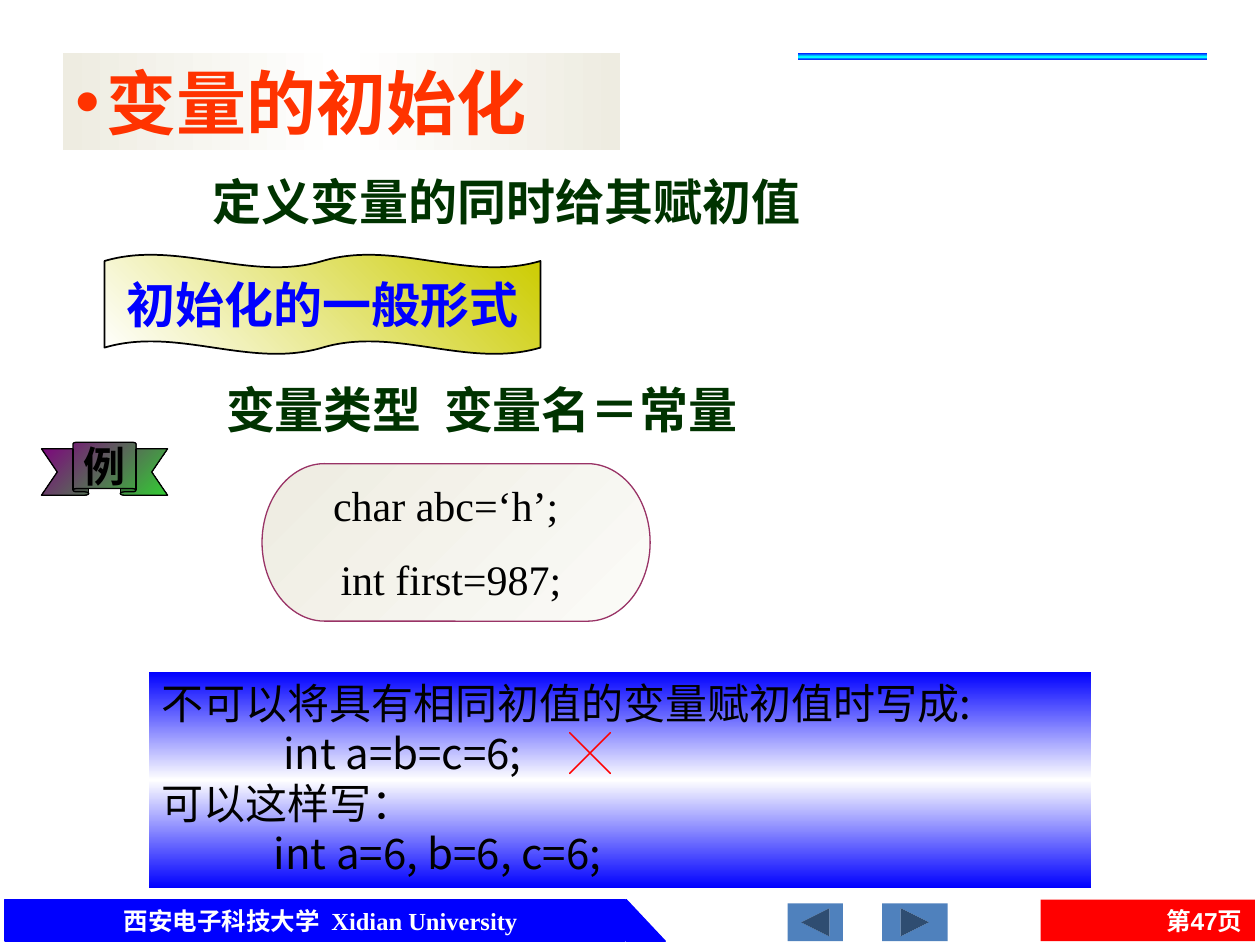
from lxml import etree
from pptx import Presentation
from pptx.dml.color import RGBColor
from pptx.enum.shapes import MSO_SHAPE
from pptx.enum.text import MSO_ANCHOR, PP_ALIGN
from pptx.oxml.ns import qn
from pptx.util import Inches, Pt

RECT = MSO_SHAPE.RECTANGLE
TRIANGLE = MSO_SHAPE.RIGHT_TRIANGLE
FORWARD = MSO_SHAPE.ACTION_BUTTON_FORWARD_OR_NEXT
PILL = MSO_SHAPE.FLOWCHART_TERMINATOR
WAVE = MSO_SHAPE.DOUBLE_WAVE
RIBBON = MSO_SHAPE.UP_RIBBON
LEFT, CENTER, RIGHT = PP_ALIGN.LEFT, PP_ALIGN.CENTER, PP_ALIGN.RIGHT
TOP, MIDDLE = MSO_ANCHOR.TOP, MSO_ANCHOR.MIDDLE

SERIF = "Times New Roman"
HEADING = "Roboto"
CJK = "Noto Sans CJK SC"

COLORS = {
    "blue": "0000FF", "cyan": "00FFFF", "white": "FFFFFF", "red": "FF0000",
    "button": "4F81BD", "cream": "EEECE1", "ivory": "FBFBF8",
    "plum": "993366", "orange": "FF3300", "green": "003300",
    "olive": "CCCC00", "purple": "800080", "lime": "33CC33", "black": "000000",
}


def rgb(name):
    """Return the named colour."""
    return RGBColor.from_string(COLORS[name])


def set_gradient(shape, names, angle):
    """Spread the named colours evenly along a clockwise angle."""
    shape.fill.gradient()
    shape.fill.gradient_angle = -angle % 360
    stops = shape._element.spPr.find(qn("a:gradFill")).find(qn("a:gsLst"))
    for stop in list(stops):
        stops.remove(stop)
    for i, name in enumerate(names):
        position = str(100000 * i // (len(names) - 1))
        stop = etree.SubElement(stops, qn("a:gs"), pos=position)
        etree.SubElement(stop, qn("a:srgbClr"), val=COLORS[name])


def add_panel(slide, kind, box, fill, angle=0, line=None, width=0.75):
    """Add a shape with a solid fill, or a gradient when fill is a list."""
    panel = slide.shapes.add_shape(kind, *map(Inches, box))
    panel.shadow.inherit = False
    if isinstance(fill, list):
        set_gradient(panel, fill, angle)
    else:
        panel.fill.solid()
        panel.fill.fore_color.rgb = rgb(fill)
    if line:
        panel.line.color.rgb = rgb(line)
        panel.line.width = Pt(width)
    else:
        panel.line.fill.background()
    return panel


def format_font(font, name, size, color, bold):
    """Apply the typeface, size, colour and weight."""
    font.name = name
    font.size = Pt(size)
    font.color.rgb = rgb(color)
    font.bold = bold


def write(shape, text, name, size, color, bold=True, align=CENTER,
          anchor=TOP, wrap=True, gap=0):
    """Write paragraphs into a shape with one common format."""
    frame = shape.text_frame
    frame.text = text
    frame.word_wrap = wrap
    frame.vertical_anchor = anchor
    for i, paragraph in enumerate(frame.paragraphs):
        paragraph.alignment = align
        if i and gap:
            paragraph.space_before = Pt(gap)
        for run in paragraph.runs:
            format_font(run.font, name, size, color, bold)
    return frame


def add_label(slide, box, text, name, size, color, **options):
    """Add a text box with formatted text."""
    label = slide.shapes.add_textbox(*map(Inches, box))
    return write(label, text, name, size, color, **options)


def add_bullet(paragraph, indent):
    """Give the paragraph a hanging round bullet."""
    properties = paragraph._p.get_or_add_pPr()
    properties.set("marL", str(Inches(indent)))
    properties.set("indent", str(-Inches(indent)))
    etree.SubElement(properties, qn("a:buFont"), typeface="Arial")
    etree.SubElement(properties, qn("a:buChar"), char="•")


def add_tab(paragraph, position):
    """Set one left tab stop."""
    tabs = etree.SubElement(paragraph._p.get_or_add_pPr(), qn("a:tabLst"))
    etree.SubElement(tabs, qn("a:tab"), pos=str(Inches(position)), algn="l")


def add_footer(slide):
    """Add the university band, the navigation buttons and the page number."""
    add_panel(slide, RECT, (0.04, 7.14, 4.92, 0.33), "blue", line="blue")
    add_panel(slide, TRIANGLE, (4.97, 7.14, 0.31, 0.33), "blue", line="blue")
    add_label(slide, (0.33, 7.14, 4.43, 0.33),
              "西安电子科技大学  Xidian University", SERIF, 14, "white")
    page = add_panel(slide, RECT, (8.26, 7.14, 1.7, 0.33), "red")
    write(page, "第47页", "Arial", 14, "white", align=RIGHT, anchor=MIDDLE)
    add_panel(slide, FORWARD, (7, 7.17, 0.52, 0.3), "button")
    back = add_panel(slide, FORWARD, (6.25, 7.17, 0.44, 0.3), "button")
    back.rotation = 180


def add_title(slide):
    """Add the accent bar and the bulleted title."""
    add_panel(slide, RECT, (6.33, 0.42, 3.25, 0.06),
              ["blue", "cyan", "blue"], 90)
    title = add_panel(slide, RECT, (0.5, 0.42, 4.42, 0.77),
                      ["cream", "white", "cream"])
    frame = write(title, "变量的初始化", SERIF, 40, "orange", align=LEFT)
    add_bullet(frame.paragraphs[0], 0.25)


def add_general_form(slide):
    """Add the definition, its heading and the general form."""
    add_label(slide, (1.02, 1.31, 6, 0.57), "定义变量的同时给其赋初值",
              SERIF, 28, "green")
    heading = add_panel(slide, WAVE, (0.83, 2.02, 3.46, 0.79),
                        ["white", "olive"], 315, "black", 1)
    heading.adjustments[0] = 0.065
    write(heading, "初始化的一般形式", HEADING, 28, "blue",
          anchor=MIDDLE, wrap=False)
    form = add_label(slide, (1, 2.96, 6, 0.57), "变量类型  变量名＝常量",
                     SERIF, 28, "green")
    form.margin_right = Inches(0.45)


def add_example(slide):
    """Add the example ribbon and its declarations."""
    ribbon = add_panel(slide, RIBBON, (0.33, 3.51, 1, 0.42),
                       ["purple", "lime"], 45, "black")
    ribbon.adjustments[0] = 0.125
    ribbon.adjustments[1] = 0.5
    write(ribbon, "例", HEADING, 24, "black", anchor=MIDDLE, wrap=False)
    add_panel(slide, PILL, (2.08, 3.68, 3.08, 1.25),
              ["cream", "ivory"], 45, "plum")
    add_label(slide, (1.58, 3.76, 4, 1.1), "char abc=‘h’; \nint first=987;",
              SERIF, 24, "black", bold=False, gap=13)


def add_warning(slide):
    """Add the note on wrong and right initialisation."""
    note = add_panel(slide, RECT, (1.18, 5.33, 7.48, 1.72),
                     ["blue", "white", "blue"], 90)
    lines = ["不可以将具有相同初值的变量赋初值时写成:",
             "             int a=b=c=6;",
             "可以这样写：",
             "            int a=6, b=6, c=6;"]
    frame = write(note, "\n".join(lines), CJK, 24, "black",
                  bold=False, align=LEFT)
    for paragraph in frame.paragraphs:
        paragraph.line_spacing = Pt(28.6)
    wrong = frame.paragraphs[1]
    add_tab(wrong, 3.24)
    cross = wrong.add_run()
    cross.text = "\t╳"
    format_font(cross.font, CJK, 24, "red", True)


def main():
    """Build and save the slide."""
    deck = Presentation()
    deck.slide_width, deck.slide_height = Inches(10), Inches(7.5)
    slide = deck.slides.add_slide(deck.slide_layouts[6])
    add_footer(slide)
    add_title(slide)
    add_general_form(slide)
    add_example(slide)
    add_warning(slide)
    deck.save("out.pptx")


if __name__ == "__main__":
    main()
